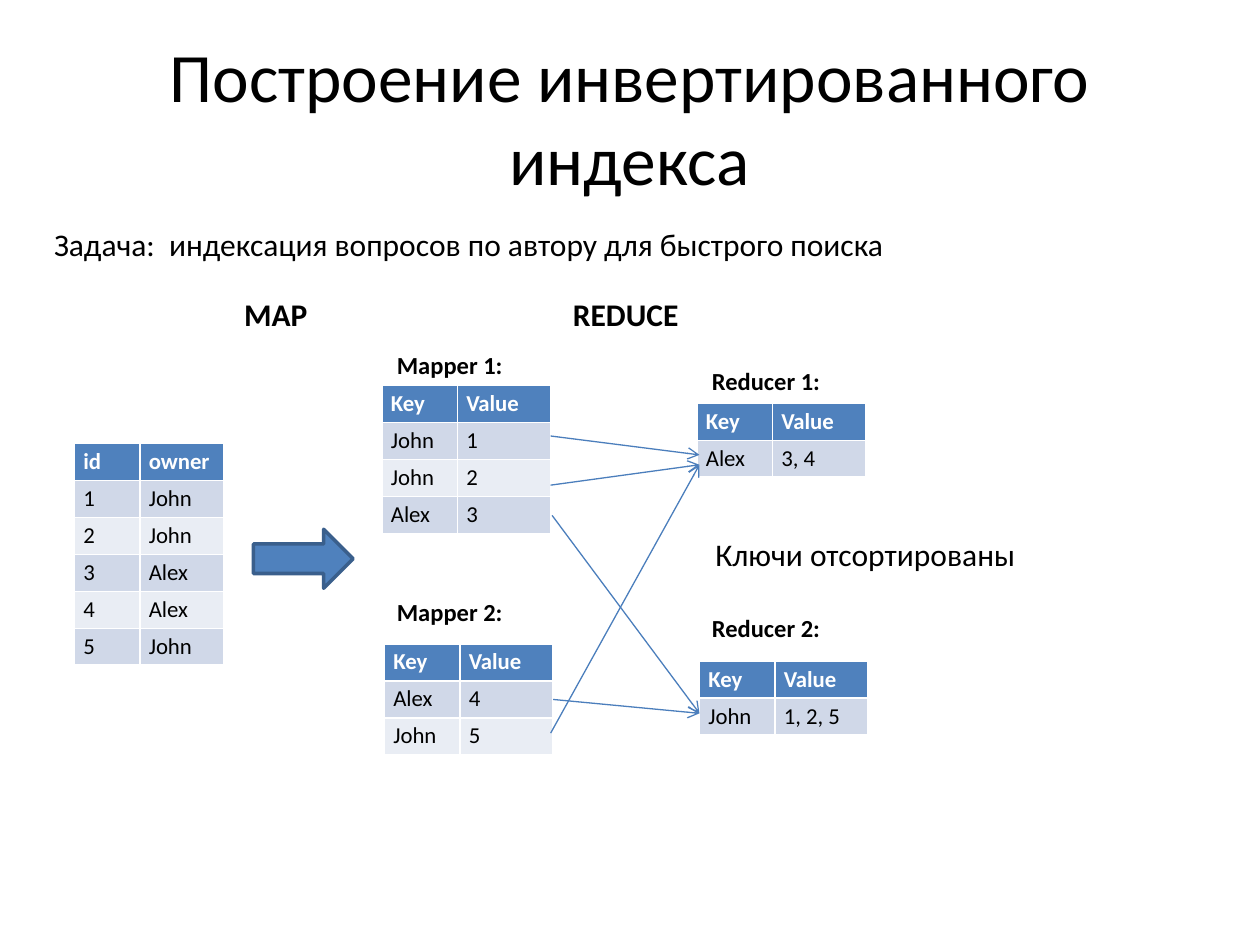
from dataclasses import dataclass

from lxml import etree
from pptx import Presentation
from pptx.dml.color import RGBColor
from pptx.enum.shapes import MSO_CONNECTOR, MSO_SHAPE
from pptx.enum.text import MSO_ANCHOR, PP_ALIGN
from pptx.oxml.ns import qn
from pptx.util import Cm, Pt

STRAIGHT = MSO_CONNECTOR.STRAIGHT
RIGHT_ARROW = MSO_SHAPE.RIGHT_ARROW
MIDDLE = MSO_ANCHOR.MIDDLE
LEFT, CENTER = PP_ALIGN.LEFT, PP_ALIGN.CENTER


@dataclass
class Theme:
    font: str = "Calibri"
    black: RGBColor = RGBColor(0x00, 0x00, 0x00)
    white: RGBColor = RGBColor(0xFF, 0xFF, 0xFF)
    accent: RGBColor = RGBColor(0x4F, 0x81, 0xBD)
    outline: RGBColor = RGBColor(0x3A, 0x5F, 0x8C)
    link: RGBColor = RGBColor(0x4B, 0x7E, 0xBC)
    odd_row: RGBColor = RGBColor(0xD0, 0xD8, 0xE8)
    even_row: RGBColor = RGBColor(0xE9, 0xED, 0xF4)
    title: float = 39.6
    body: float = 18
    label: float = 14
    cell: float = 13


theme = Theme()


def write(tf, text, size, bold=False, color=theme.black, align=LEFT):
    tf.text = text
    p = tf.paragraphs[0]
    p.alignment = align
    font = p.runs[0].font
    font.name, font.size, font.bold = theme.font, Pt(size), bold
    font.color.rgb = color


prs = Presentation()
prs.slide_width, prs.slide_height = Cm(25.4), Cm(19.05)
s = prs.slides.add_slide(prs.slide_layouts[6])

# Title
sp = s.shapes.add_textbox(Cm(1.27), Cm(0.76), Cm(22.86), Cm(3.18))
tf = sp.text_frame
tf.word_wrap = True
tf.vertical_anchor = MIDDLE
write(tf, "Построение инвертированного индекса", theme.title, align=CENTER)

# Task, stage headings and table captions: text, left, top, width, size, bold, wrap
texts = [
    ("Задача:  индексация вопросов по автору для быстрого поиска",
     0.84, 4.42, 17.42, theme.body, False, False),
    ("Ключи отсортированы", 14.17, 10.67, 6.78, theme.body, False, False),
    ("MAP", 4.67, 5.82, 2.87, theme.body, True, True),
    ("REDUCE", 11.3, 5.82, 2.87, theme.body, True, True),
    ("Mapper 1:", 7.75, 6.93, 3.05, theme.label, True, True),
    ("Mapper 2:", 7.75, 11.91, 2.64, theme.label, True, True),
    ("Reducer 1:", 14.1, 7.26, 3.05, theme.label, True, True),
    ("Reducer 2:", 14.1, 12.24, 3.4, theme.label, True, True),
]
for text, left, top, width, size, bold, wrap in texts:
    height = 1.02 if size == theme.body else 0.86
    sp = s.shapes.add_textbox(Cm(left), Cm(top), Cm(width), Cm(height))
    sp.text_frame.word_wrap = wrap
    write(sp.text_frame, text, size, bold)

# Tables: left, top, column widths, rows
row_height = 0.745
pair_cols = (1.52, 1.88)
header = ("Key", "Value")
tables = [
    (1.5, 8.94, (1.32, 1.7),
     [("id", "owner"), ("1", "John"), ("2", "John"), ("3", "Alex"),
      ("4", "Alex"), ("5", "John")]),
    (7.7, 7.77, pair_cols, [header, ("John", "1"), ("John", "2"), ("Alex", "3")]),
    (7.75, 12.98, pair_cols, [header, ("Alex", "4"), ("John", "5")]),
    (14.05, 8.13, pair_cols, [header, ("Alex", "3, 4")]),
    (14.1, 13.33, pair_cols, [header, ("John", "1, 2, 5")]),
]
for left, top, cols, rows in tables:
    table = s.shapes.add_table(len(rows), len(cols), Cm(left), Cm(top),
                               Cm(sum(cols)), Cm(row_height * len(rows))).table
    for column, width in zip(table.columns, cols):
        column.width = Cm(width)
    for i, row in enumerate(rows):
        table.rows[i].height = Cm(row_height)
        if i == 0:
            fill, color = theme.accent, theme.white
        else:
            fill, color = theme.odd_row if i % 2 else theme.even_row, theme.black
        for j, text in enumerate(row):
            cell = table.cell(i, j)
            cell.fill.solid()
            cell.fill.fore_color.rgb = fill
            cell.margin_left = cell.margin_right = Cm(0.18)
            cell.margin_top = cell.margin_bottom = Cm(0.09)
            write(cell.text_frame, text, theme.cell, i == 0, color)

# Block arrow from the source table to the mappers
sp = s.shapes.add_shape(RIGHT_ARROW, Cm(5.11), Cm(10.67), Cm(2.01), Cm(1.19))
sp.shadow.inherit = False
sp.fill.solid()
sp.fill.fore_color.rgb = theme.accent
sp.line.color.rgb = theme.outline
sp.line.width = Pt(2)

# Links from mapper rows to reducer rows: start x, start y, end y
reducer_x = 14.1
links = [
    (11.1, 8.79, 9.17),
    (11.1, 9.78, 9.37),
    (11.1, 14.78, 9.37),
    (11.13, 10.39, 14.38),
    (11.15, 14.1, 14.38),
]
for x, y, end_y in links:
    link = s.shapes.add_connector(STRAIGHT, Cm(x), Cm(y), Cm(reducer_x), Cm(end_y))
    link.line.color.rgb = theme.link
    link.line.width = Pt(0.75)
    etree.SubElement(link.line._get_or_add_ln(), qn("a:tailEnd"), type="arrow")
    etree.SubElement(link._element.spPr, qn("a:effectLst"))

prs.save("out.pptx")
